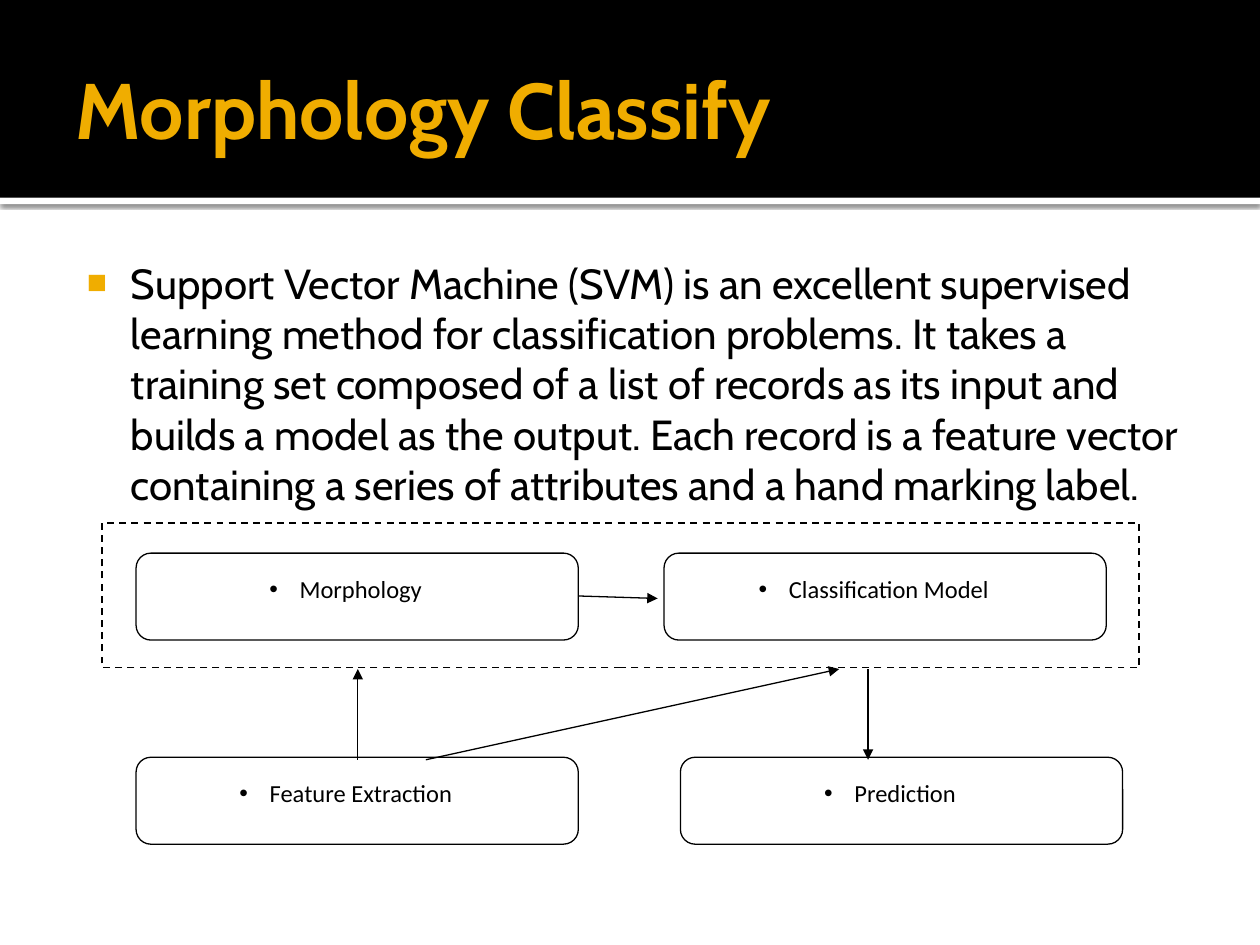
from lxml.etree import SubElement
from pptx import Presentation
from pptx.dml.color import RGBColor
from pptx.enum.dml import MSO_LINE
from pptx.enum.shapes import MSO_CONNECTOR as Link, MSO_SHAPE as Preset
from pptx.enum.text import MSO_ANCHOR as Anchor, PP_ALIGN as Align
from pptx.oxml.ns import qn
from pptx.util import Inches, Pt

BLACK, WHITE, GOLD = "000000", "FFFFFF", "F0AD00"

deck = Presentation()
deck.slide_width, deck.slide_height = Inches(10), Inches(7.5)
slide = deck.slides.add_slide(deck.slide_layouts[6])
canvas = slide.shapes


def grid(*cells):
    units = deck.slide_width / 100, deck.slide_height / 100
    return [round(cell * units[i % 2]) for i, cell in enumerate(cells)]


def paint(fill, colour):
    fill.solid()
    fill.fore_color.rgb = RGBColor.from_string(colour)


header_rows = 20.93
for area, colour in (
    ((0, header_rows, 100, 0.67), WHITE),
    ((0, 0, 100, header_rows), BLACK),
):
    band = canvas.add_shape(Preset.RECTANGLE, *grid(*area))
    band.shadow.inherit = False
    paint(band.fill, colour)
    band.line.fill.background()
    if colour == WHITE:
        effects = band.element.spPr.find(qn("a:effectLst"))
        shade = SubElement(effects, qn("a:outerShdw"), blurRad=str(Pt(2.5)),
                           dist=str(Pt(0.8)), dir="5400000", algn="tl", rotWithShape="0")
        tint = SubElement(shade, qn("a:srgbClr"), val=BLACK)
        SubElement(tint, qn("a:alpha"), val="60000")

heading = canvas.add_textbox(*grid(5, 2.27, 90, 18.27))
summary = canvas.add_textbox(*grid(5, 25.87, 90, 67.47))

heading_format = {
    "frame": {"vertical_anchor": Anchor.MIDDLE, "margin_left": Inches(0.1), "margin_right": Inches(0.05)},
    "paragraph": {},
    "font": {"name": "Cabin", "size": Pt(45), "bold": True},
    "colour": GOLD,
}
summary_format = {
    "frame": {"vertical_anchor": Anchor.TOP, "margin_left": Inches(0.06), "margin_top": Inches(0.1)},
    "paragraph": {},
    "font": {"name": "Cabin", "size": Pt(24)},
    "colour": BLACK,
    "bullet": ("■", GOLD, 80, 0.48, -0.35),
}
step_format = {
    "frame": {"vertical_anchor": Anchor.TOP, "margin_right": Inches(0.28)},
    "paragraph": {"alignment": Align.CENTER, "line_spacing": 1.35},
    "font": {"name": "Calibri", "size": Pt(14)},
    "colour": BLACK,
    "bullet": ("•", BLACK, 100, 0.24, -0.24),
}
passages = [
    (heading, "Morphology Classify", heading_format),
    (summary, "Support Vector Machine (SVM) is an excellent supervised learning method for "
     "classification problems. It takes a training set composed of a list of records as its "
     "input and builds a model as the output. Each record is a feature vector containing a "
     "series of attributes and a hand marking label.", summary_format),
]

training = canvas.add_shape(Preset.RECTANGLE, *grid(8.1, 55.33, 82.3, 15.33))
training.shadow.inherit = False
training.fill.background()
paint(training.line.fill, BLACK)
training.line.width = Pt(1)
training.line.dash_style = MSO_LINE.DASH

training_row, usage_row = 58.53, 80.13
for label, column, row in (
    ("Prediction", 54, usage_row),
    ("Feature Extraction", 10.8, usage_row),
    ("Classification Model", 52.7, training_row),
    ("Morphology", 10.8, training_row),
):
    step = canvas.add_shape(Preset.ROUNDED_RECTANGLE, *grid(column, row, 35.1, 9.2))
    step.shadow.inherit = False
    step.adjustments[0] = 0.17
    paint(step.fill, WHITE)
    paint(step.line.fill, BLACK)
    step.line.width = Pt(0.75)
    passages.append((step, label, step_format))

upper, lower = 70.8, 80.4
for route in (
    (45.9, 63.07, 52.2, 63.33),
    (28.4, lower, 28.4, upper),
    (33.8, lower, 66.6, upper),
    (68.9, upper, 68.9, lower),
):
    arrow = canvas.add_connector(Link.STRAIGHT, *grid(*route))
    paint(arrow.line.fill, BLACK)
    arrow.line.width = Pt(0.75)
    SubElement(arrow.line._get_or_add_ln(), qn("a:tailEnd"), type="triangle")
    SubElement(arrow.element.spPr, qn("a:effectLst"))

for holder, wording, style in passages:
    frame = holder.text_frame
    frame.word_wrap = True
    paragraph = frame.paragraphs[0]
    run = paragraph.add_run()
    run.text = wording
    if "bullet" in style:
        mark, mark_colour, percent, margin, indent = style["bullet"]
        props = paragraph._p.get_or_add_pPr()
        props.set("marL", str(Inches(margin)))
        props.set("indent", str(Inches(indent)))
        SubElement(SubElement(props, qn("a:buClr")), qn("a:srgbClr"), val=mark_colour)
        SubElement(props, qn("a:buSzPct"), val=str(percent * 1000))
        SubElement(props, qn("a:buFont"), typeface="Arial")
        SubElement(props, qn("a:buChar"), char=mark)
    for part, target in (("frame", frame), ("paragraph", paragraph), ("font", run.font)):
        for attribute, value in style[part].items():
            setattr(target, attribute, value)
    paint(run.font.fill, style["colour"])

deck.save("out.pptx")
